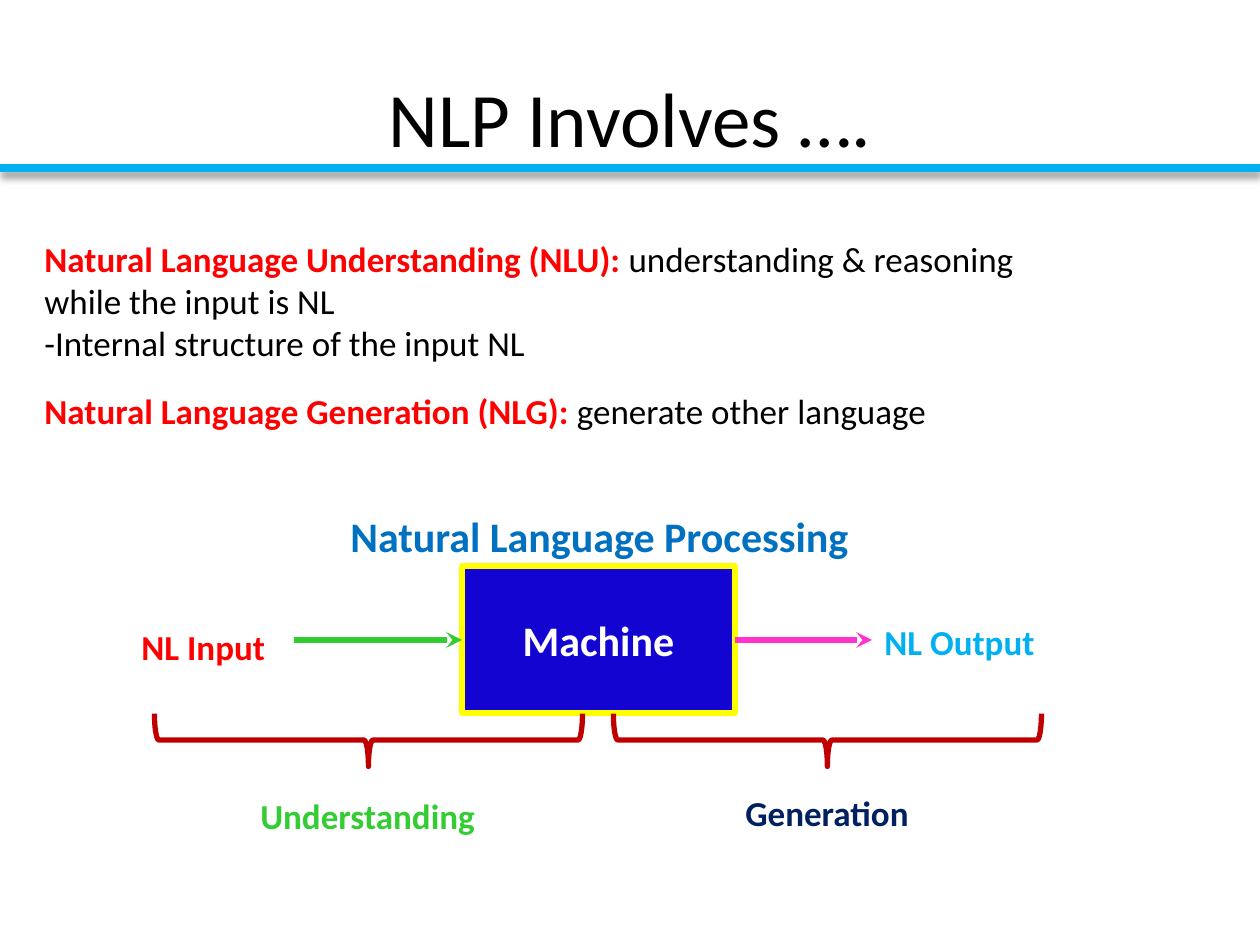
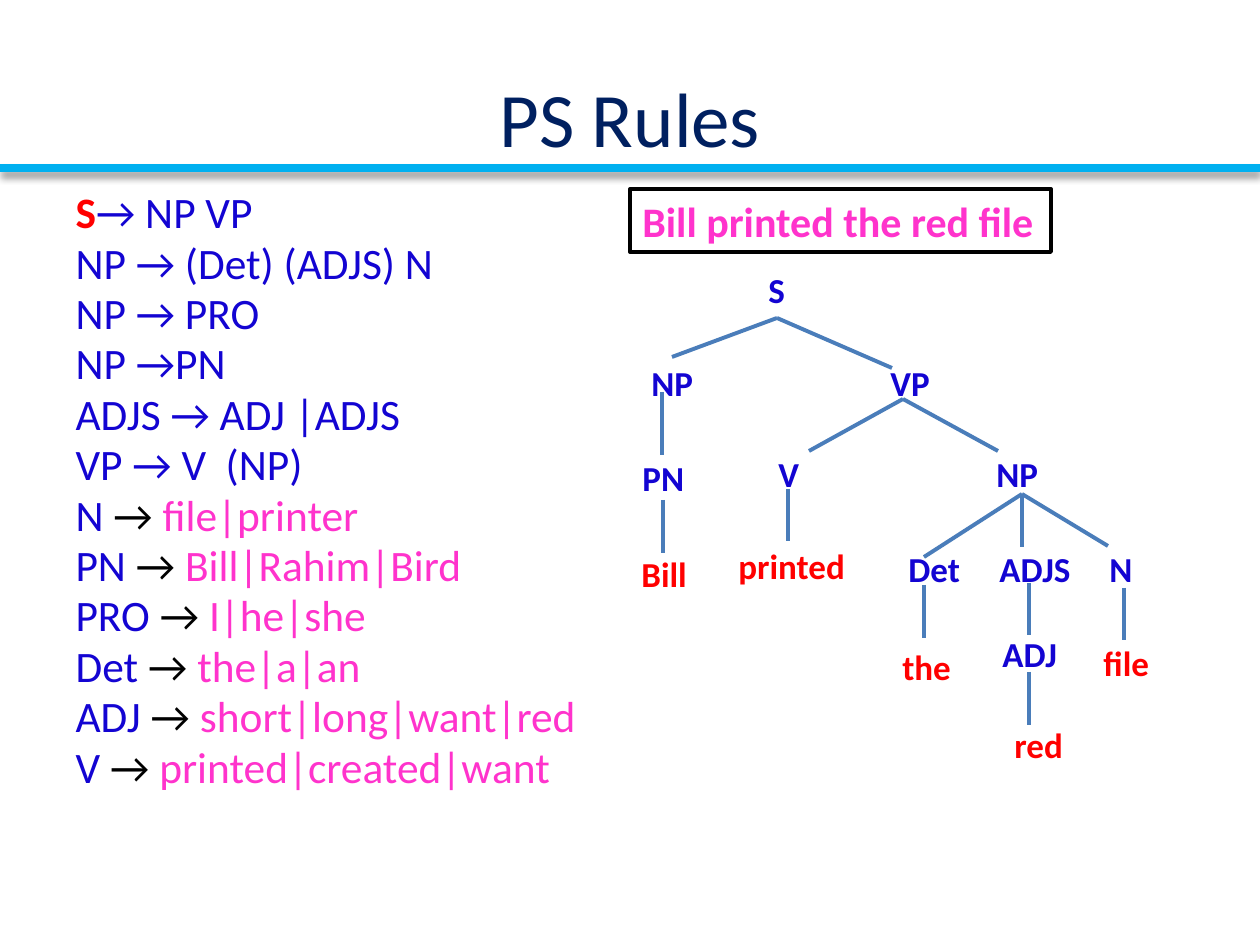
from lxml.etree import SubElement
from pptx import Presentation
from pptx.dml.color import RGBColor
from pptx.enum.shapes import MSO_CONNECTOR, MSO_SHAPE
from pptx.enum.text import MSO_ANCHOR, MSO_AUTO_SIZE, PP_ALIGN
from pptx.oxml.ns import qn
from pptx.util import Emu, Pt

SCALE = 914400 / 126
FONT = "Calibri"
COLORS = {
    "black": "000000",
    "white": "FFFFFF",
    "navy": "002060",
    "royal": "1304D2",
    "blue": "0070C0",
    "sky": "00B0F0",
    "branch": "4A7DBA",
    "red": "FF0000",
    "brick": "C00000",
    "green": "33CC33",
    "pink": "FF33CC",
    "yellow": "FFFF00",
}


def px(value):
    return Emu(round(value * SCALE))


def rgb(name):
    return RGBColor.from_string(COLORS[name])


def write(frame, paragraphs, size, align=PP_ALIGN.LEFT, anchor=MSO_ANCHOR.TOP, wrap=True):
    frame.word_wrap = wrap
    frame.auto_size = MSO_AUTO_SIZE.NONE
    frame.vertical_anchor = anchor
    for index, spans in enumerate(paragraphs):
        para = frame.add_paragraph() if index else frame.paragraphs[0]
        para.alignment = align
        for text, color, bold in spans:
            span = para.add_run()
            span.text = text
            span.font.name = FONT
            span.font.size = Pt(size)
            span.font.bold = bold
            span.font.color.rgb = rgb(color)


def add_text(shapes, paragraphs, left, top, width, height=55, size=20, wrap=True):
    box = shapes.add_textbox(px(left), px(top), px(width), px(height))
    write(box.text_frame, paragraphs, size, wrap=wrap)


def add_label(shapes, text, left, top, width, color="royal", size=20):
    add_text(shapes, [[(text, color, True)]], left, top, width, size=size, wrap=False)


def add_shape(shapes, kind, left, top, width, height, line, weight, fill=None):
    shape = shapes.add_shape(kind, px(left), px(top), px(width), px(height))
    shape.shadow.inherit = False
    shape.line.color.rgb = rgb(line)
    shape.line.width = Pt(weight)
    if fill:
        shape.fill.solid()
        shape.fill.fore_color.rgb = rgb(fill)
    else:
        shape.fill.background()
    return shape


def add_line(shapes, start, end, color, weight, arrow=False):
    line = shapes.add_connector(MSO_CONNECTOR.STRAIGHT, *map(px, start + end))
    line.line.color.rgb = rgb(color)
    line.line.width = Pt(weight)
    properties = line._element.spPr
    if arrow:
        SubElement(properties.find(qn("a:ln")), qn("a:tailEnd"), type="stealth")
    return SubElement(properties, qn("a:effectLst"))


def add_title_rule(page):
    effects = add_line(page.shapes, (0, 168), (1260, 168), "sky", 4.5)
    shadow = SubElement(effects, qn("a:outerShdw"), blurRad=str(Pt(4)), dist=str(Pt(3)),
                        dir="5400000", algn="t", rotWithShape="0")
    shade = SubElement(shadow, qn("a:srgbClr"), val=COLORS["black"])
    SubElement(shade, qn("a:alpha"), val="40000")


def place(holder, left, top, width, height):
    holder.left, holder.top = px(left), px(top)
    holder.width, holder.height = px(width), px(height)


def add_page(deck, layout, title, color):
    page = deck.slides.add_slide(deck.slide_layouts.get_by_name(layout))
    place(page.shapes.title, 63, 38, 1134, 157)
    write(page.shapes.title.text_frame, [[(title, color, False)]], 44,
          PP_ALIGN.CENTER, MSO_ANCHOR.MIDDLE)
    add_title_rule(page)
    return page


def add_brace(shapes, center):
    brace = add_shape(shapes, MSO_SHAPE.LEFT_BRACE, center - 26, 526, 53, 428, "brick", 3)
    brace.adjustments[0] = 0.083
    brace.rotation = 270


def build_involves(deck):
    page = add_page(deck, "Title Only", "NLP Involves ….", "black")
    shapes = page.shapes
    add_text(shapes, [
        [("Natural Language Understanding (NLU): ", "red", True),
         ("understanding & reasoning ", "black", False)],
        [("while the input is NL", "black", False)],
        [("-Internal structure of the input NL", "black", False)],
    ], 32, 231, 1010, 140)
    add_text(shapes, [
        [("Natural Language Generation (NLG): ", "red", True),
         ("generate other language", "black", False)],
    ], 32, 383, 915)

    machine = add_shape(shapes, MSO_SHAPE.RECTANGLE, 462, 566, 273, 147, "yellow", 3, "royal")
    write(machine.text_frame, [[("Machine", "white", True)]], 24,
          PP_ALIGN.CENTER, MSO_ANCHOR.MIDDLE)
    add_line(shapes, (294, 640), (462, 640), "green", 3, arrow=True)
    add_line(shapes, (735, 640), (872, 640), "pink", 3, arrow=True)
    for center in (368, 827):
        add_brace(shapes, center)

    add_label(shapes, "Natural Language Processing", 338, 504, 528, "blue", 24)
    add_label(shapes, "NL Input", 129, 619, 150, "red")
    add_label(shapes, "NL Output", 872, 614, 176, "sky")
    add_label(shapes, "Understanding", 248, 788, 242, "green")
    add_label(shapes, "Generation", 733, 785, 190, "navy")


def add_rules(page):
    grammar = ["NP → (Det) (ADJS) N", "NP → PRO", "NP →PN", "ADJS → ADJ |ADJS", "VP → V  (NP)"]
    lexicon = [
        ("N", "file|printer"),
        ("PN", "Bill|Rahim|Bird"),
        ("PRO", "I|he|she"),
        ("Det", "the|a|an"),
        ("ADJ", "short|long|want|red"),
        ("V", "printed|created|want"),
    ]
    rules = [[("S", "red", True), ("→ NP VP", "royal", False)]]
    rules += [[(rule, "royal", False)] for rule in grammar]
    rules += [[(symbol, "royal", False), (" → ", "black", False), (words, "pink", False)]
              for symbol, words in lexicon]
    body = page.placeholders[1]
    place(body, 63, 189, 557, 703)
    write(body.text_frame, rules, 24.8)
    for index, para in enumerate(body.text_frame.paragraphs):
        para.line_spacing = 0.8
        para.space_before = Pt(5 if index else 0)
        properties = para._p.get_or_add_pPr()
        properties.set("marL", str(px(48)))
        properties.set("indent", str(-px(48)))
        SubElement(properties, qn("a:buNone"))


def add_tree(page):
    shapes = page.shapes.add_group_shape().shapes
    sentence = add_shape(shapes, MSO_SHAPE.RECTANGLE, 630, 189, 421, 63, "black", 2.25)
    write(sentence.text_frame, [[("Bill printed the red file", "pink", True)]], 24, wrap=False)

    symbols = [
        ("S", 756, 262, 43), ("NP", 639, 355, 68), ("VP", 878, 355, 66),
        ("PN", 630, 450, 68), ("V", 766, 446, 47), ("NP", 984, 446, 68),
        ("Det", 896, 541, 77), ("ADJS", 987, 541, 97), ("N", 1097, 541, 49),
        ("ADJ", 990, 626, 81),
    ]
    words = [
        ("Bill", 629, 546, 71), ("printed", 726, 538, 132), ("the", 890, 639, 74),
        ("red", 1002, 717, 74), ("file", 1091, 635, 72),
    ]
    for color, labels in (("royal", symbols), ("red", words)):
        for label in labels:
            add_label(shapes, *label, color=color)

    branches = [
        ((777, 318), [(672, 357), (892, 368)]),
        ((903, 399), [(809, 451), (998, 451)]),
        ((1022, 494), [(924, 557), (1022, 547), (1108, 546)]),
        ((662, 392), [(662, 455)]),
        ((663, 500), [(663, 553)]),
        ((788, 489), [(788, 541)]),
        ((924, 585), [(924, 638)]),
        ((1029, 583), [(1029, 635)]),
        ((1029, 672), [(1029, 725)]),
        ((1124, 588), [(1124, 640)]),
    ]
    for parent, children in branches:
        for child in children:
            add_line(shapes, parent, child, "branch", 2.25)


def build_rules(deck):
    page = add_page(deck, "Title and Content", "PS Rules", "navy")
    add_rules(page)
    add_tree(page)


def main():
    deck = Presentation()
    deck.slide_width, deck.slide_height = px(1260), px(945)
    build_involves(deck)
    build_rules(deck)
    deck.save("out.pptx")


main()
